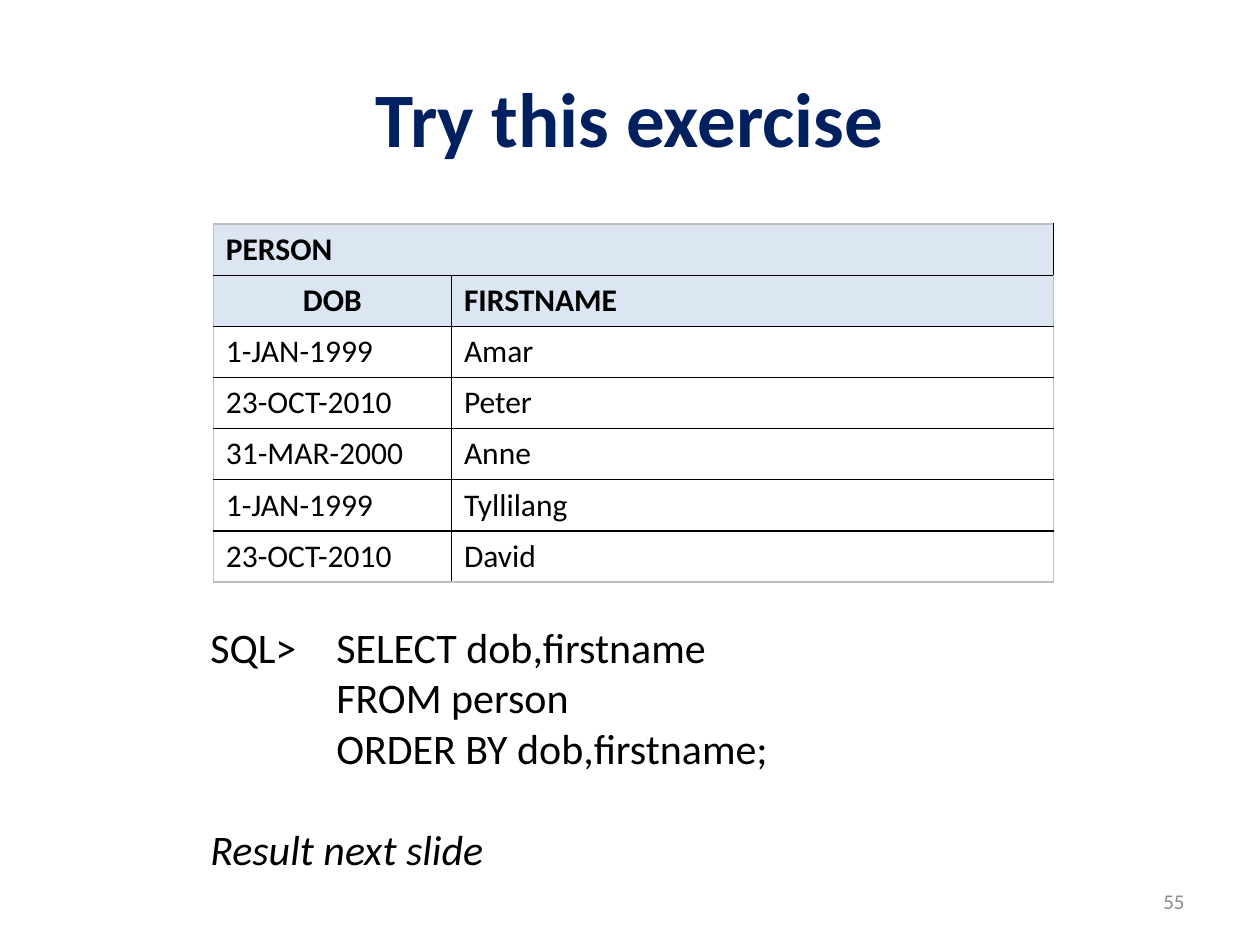
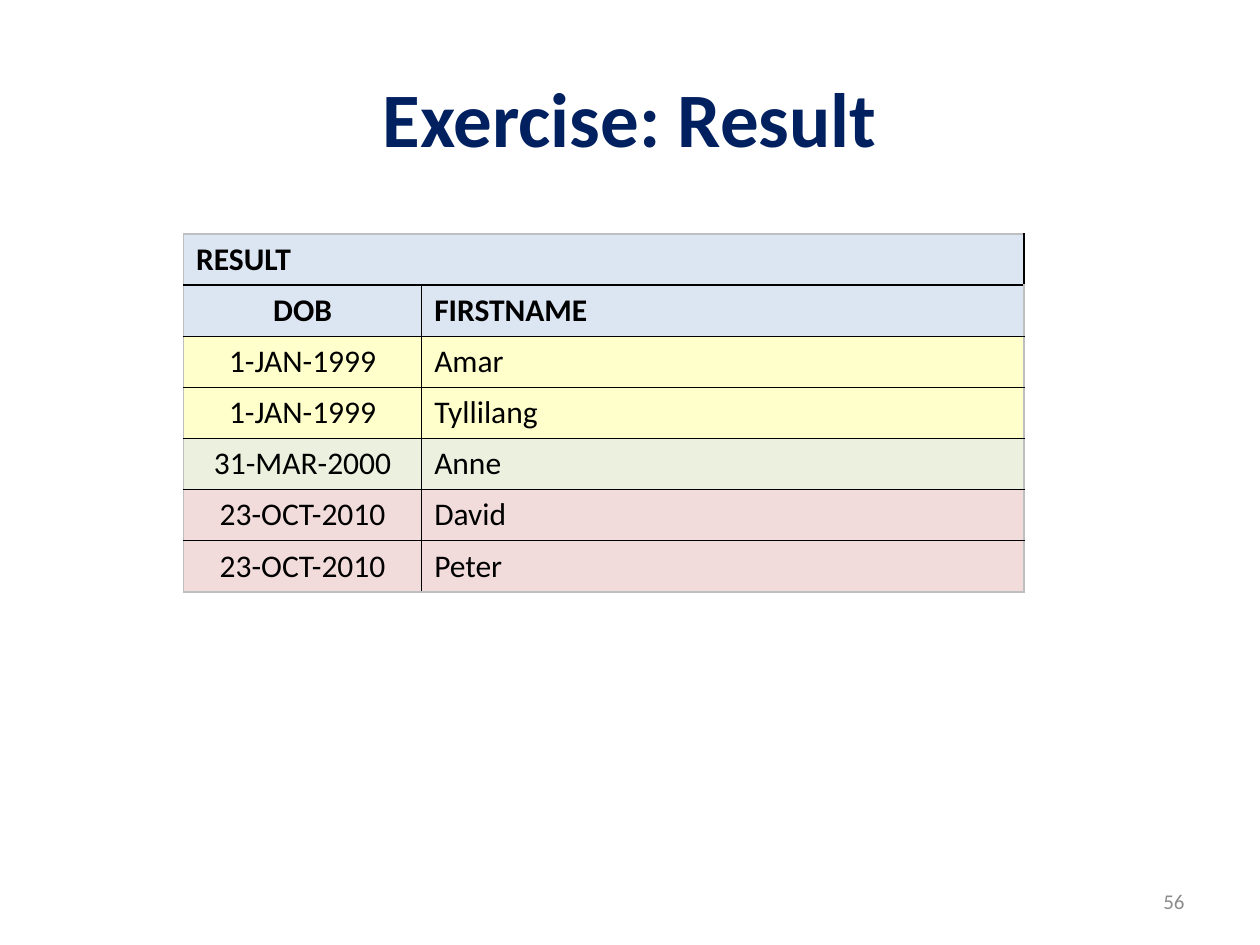
from lxml.etree import SubElement
from pptx import Presentation
from pptx.dml.color import RGBColor
from pptx.enum.text import MSO_ANCHOR, PP_ALIGN
from pptx.oxml.ns import qn
from pptx.util import Cm, Pt

FONT = "Calibri"
NAVY, BLACK, GREY, EDGE = "002060", "000000", "8C8C8C", "BFBFBF"
BLUE, YELLOW, GREEN, PINK = "DCE6F2", "FFFFCC", "EBF1DE", "F2DCDB"
COLS = (4.8, 12.14)
ROW = 1.03
HEADS = ("DOB", "FIRSTNAME")


def rgb(code):
    """Turn a hex string into a colour."""
    return RGBColor.from_string(code)


def add_run(para, text, size, tint=BLACK, bold=False, slant=False):
    """Add one styled run to a paragraph."""
    run = para.add_run()
    run.text = text
    font = run.font
    font.name, font.size = FONT, Pt(size)
    font.bold, font.italic = bold, slant
    font.color.rgb = rgb(tint)


def add_box(slide, left, top, width, height, anchor=MSO_ANCHOR.MIDDLE):
    """Add a wrapping text box and return its frame."""
    box = slide.shapes.add_textbox(Cm(left), Cm(top), Cm(width), Cm(height))
    frame = box.text_frame
    frame.word_wrap = True
    frame.vertical_anchor = anchor
    return frame


def add_page(deck, title, number):
    """Add a slide with its title and page number."""
    slide = deck.slides.add_slide(deck.slide_layouts[6])
    para = add_box(slide, 1.27, 0.76, 22.86, 3.18).paragraphs[0]
    para.alignment = PP_ALIGN.CENTER
    add_run(para, title, 44, NAVY, bold=True)
    para = add_box(slide, 18.2, 17.65, 5.93, 1.02).paragraphs[0]
    para.alignment = PP_ALIGN.RIGHT
    add_run(para, str(number), 12, GREY)
    return slide


def add_line(cell, side, tint):
    """Draw one border of a cell."""
    line = SubElement(cell._tc.get_or_add_tcPr(), qn(f"a:ln{side}"), w=str(Pt(1)))
    fill = SubElement(line, qn("a:solidFill"))
    SubElement(fill, qn("a:srgbClr"), val=tint)


def add_grid(slide, left, top, name, rows, fills, align):
    """Add a two-column table under a merged name row."""
    cells = [(name, ""), HEADS, *rows]
    tints = [BLUE, BLUE, *fills]
    last = len(cells) - 1
    frame = slide.shapes.add_table(len(cells), len(COLS), Cm(left), Cm(top),
                                   Cm(sum(COLS)), Cm(ROW * len(cells)))
    table = frame.table
    table.first_row = table.horz_banding = False
    for col, width in zip(table.columns, COLS):
        col.width = Cm(width)
    table.cell(0, 0).merge(table.cell(0, 1))
    for r, (texts, tint) in enumerate(zip(cells, tints)):
        table.rows[r].height = Cm(ROW)
        for c, text in enumerate(texts):
            cell = table.cell(r, c)
            cell.vertical_anchor = MSO_ANCHOR.MIDDLE
            outer = {"L": c == 0, "R": c == 1, "T": r == 0, "B": r == last}
            for side, edge in outer.items():
                add_line(cell, side, EDGE if edge else BLACK)
            if tint:
                cell.fill.solid()
                cell.fill.fore_color.rgb = rgb(tint)
            else:
                cell.fill.background()
            if text:
                para = cell.text_frame.paragraphs[0]
                if c == 0 and r > 0:
                    para.alignment = PP_ALIGN.CENTER if r == 1 else align
                add_run(para, text, 18, bold=r < 2)


def add_query(slide, lines, note):
    """Add tabbed query lines and a closing note."""
    frame = add_box(slide, 3.99, 12.4, 17.3, 5.38, MSO_ANCHOR.TOP)
    for i, line in enumerate(lines):
        para = frame.add_paragraph() if i else frame.paragraphs[0]
        tabs = SubElement(para._p.get_or_add_pPr(), qn("a:tabLst"))
        SubElement(tabs, qn("a:tab"), pos=str(Cm(2.54)), algn="l")
        add_run(para, line, 24)
    para = frame.add_paragraph()
    para.space_before = Pt(29)
    add_run(para, note, 24, slant=True)


def main():
    """Build both slides and save the deck."""
    deck = Presentation()
    deck.slide_width, deck.slide_height = Cm(25.4), Cm(19.05)
    amar, peter, anne, tylli, david = people = [
        ("1-JAN-1999", "Amar"),
        ("23-OCT-2010", "Peter"),
        ("31-MAR-2000", "Anne"),
        ("1-JAN-1999", "Tyllilang"),
        ("23-OCT-2010", "David"),
    ]

    slide = add_page(deck, "Try this exercise", 55)
    add_grid(slide, 4.3, 4.52, "PERSON", people, [None] * 5, PP_ALIGN.LEFT)
    add_query(slide, ["SQL>\tSELECT dob,firstname", "\tFROM person",
                      "\tORDER BY dob,firstname;"], "Result next slide")

    slide = add_page(deck, "Exercise: Result", 56)
    add_grid(slide, 3.7, 4.72, "RESULT", [amar, tylli, anne, david, peter],
             [YELLOW, YELLOW, GREEN, PINK, PINK], PP_ALIGN.CENTER)
    deck.save("out.pptx")


if __name__ == "__main__":
    main()
